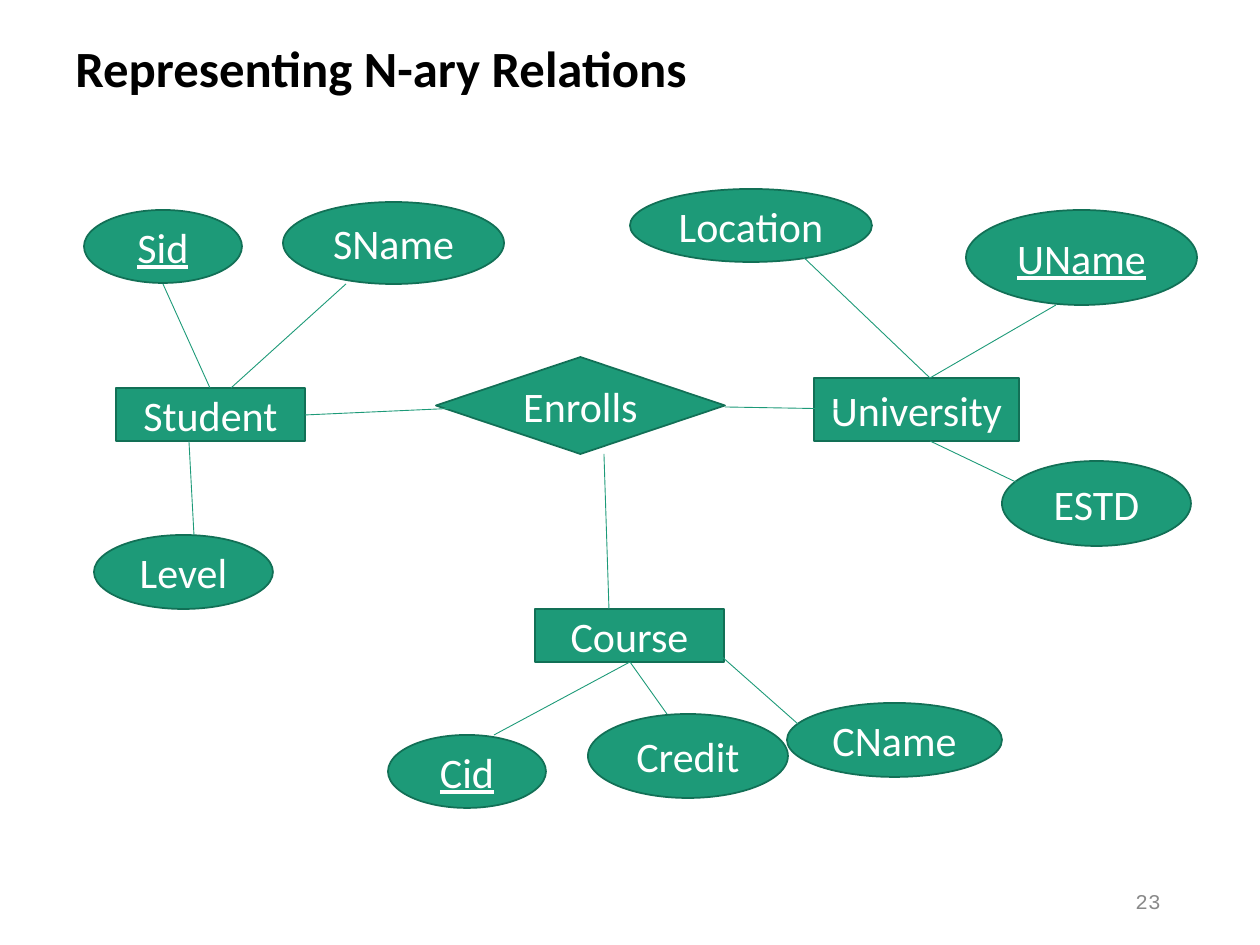
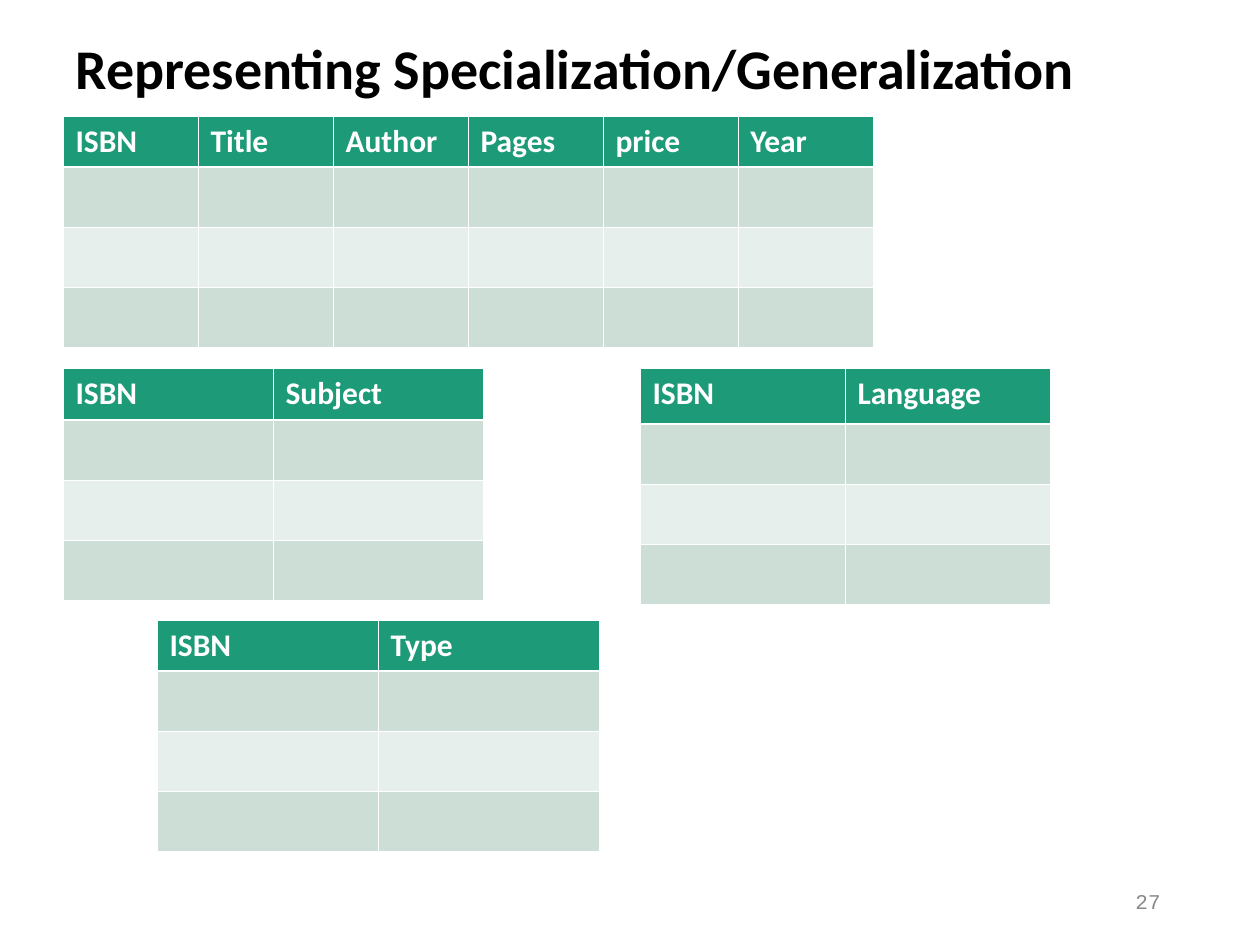
from dataclasses import dataclass

from lxml.etree import SubElement
from pptx import Presentation
from pptx.dml.color import RGBColor
from pptx.enum.shapes import MSO_CONNECTOR, MSO_SHAPE as Shape
from pptx.enum.text import MSO_ANCHOR as Anchor, PP_ALIGN as Align
from pptx.oxml.ns import qn
from pptx.util import Emu, Pt

# Content: boxes are (left, top, width, height) in px
ER_TITLE, ER_PAGE = ("Representing N-ary Relations", 29), "23"
SPEC_TITLE, SPEC_PAGE = ("Representing Specialization/Generalization", 32), "27"

ENTITIES = [
    ("Student", (116, 388, 189, 53)),
    ("Course", (535, 609, 189, 53)),
    ("University", (814, 378, 205, 63)),
]
RELATIONS = [("Enrolls", (436, 357, 289, 97))]
ATTRIBUTES = [
    ("Sid", (84, 210, 158, 73)),
    ("Level", (94, 535, 179, 74)),
    ("SName", (283, 202, 221, 82)),
    ("ESTD", (1002, 461, 189, 85)),
    ("UName", (966, 210, 231, 95)),
    ("Location", (630, 189, 242, 73)),
    ("Credit", (588, 714, 200, 84)),
    ("CName", (787, 703, 215, 74)),
    ("Cid", (388, 735, 158, 73)),
]
KEYS = {"Sid", "UName", "Cid"}

# Lines: (start x, start y, end x, end y)
RELATION_LINES = [
    (305, 415, 483, 407),
    (725, 407, 840, 409),
    (604, 454, 609, 609),
]
ATTRIBUTE_LINES = [
    (930, 378, 1056, 305), (930, 378, 798, 252), (930, 441, 1020, 484),
    (231, 388, 346, 284), (210, 388, 163, 284), (189, 441, 194, 535),
    (630, 662, 494, 735), (630, 662, 667, 714), (703, 640, 798, 724),
]

# Tables: (headings, left, top, column width, heading height)
TABLES = [
    (["ISBN", "Title", "Author", "Pages", "price", "Year"], 63, 116, 135, 51),
    (["ISBN", "Subject"], 63, 368, 210, 52),
    (["ISBN", "Language"], 640, 368, 205, 56),
    (["ISBN", "Type"], 157, 620, 221, 51),
]
EMPTY_ROWS, ROW_HEIGHT = 3, 60

# Shared frame
PX = 914400 // 126
SLIDE_SIZE = (1260, 945)
TITLE_BOX = (63, 38, 1134, 67)
PAGE_BOX = (890, 876, 283, 50)


@dataclass(frozen=True)
class Theme:
    font: str = "Calibri"
    page_font: str = "Courier New"
    green: str = "1D9A78"
    outline: str = "127056"
    white: str = "FFFFFF"
    black: str = "000000"
    grey: str = "898989"
    bands: tuple = ("CCDED6", "E7EFEC")
    node_size: int = 24
    head_size: int = 18
    page_size: int = 12
    thin: float = 0.45
    thick: float = 1.47


T = Theme()


def px(values):
    return [Emu(v * PX) for v in values]


def rgb(colour):
    return RGBColor.from_string(colour)


def add_run(p, text, size, colour, font=T.font, bold=False, underline=False):
    r = p.add_run()
    r.text = text
    f = r.font
    f.name, f.size, f.bold, f.underline = font, Pt(size), bold, underline
    f.color.rgb = rgb(colour)


def add_text(slide, box, align, *run, **style):
    tf = slide.shapes.add_textbox(*px(box)).text_frame
    tf.word_wrap = True
    tf.vertical_anchor = Anchor.MIDDLE
    p = tf.paragraphs[0]
    p.alignment = align
    add_run(p, *run, **style)
    return p


def add_slide(prs, title, page):
    slide = prs.slides.add_slide(prs.slide_layouts[6])
    p = add_text(slide, TITLE_BOX, Align.LEFT, *title, T.black, bold=True)
    p.line_spacing = 0.9
    add_text(slide, PAGE_BOX, Align.RIGHT, page, T.page_size, T.grey, font=T.page_font)
    return slide


# Diagram parts
def add_nodes(slide, kind, nodes):
    for name, box in nodes:
        s = slide.shapes.add_shape(kind, *px(box))
        s.shadow.inherit = False
        s.fill.solid()
        s.fill.fore_color.rgb = rgb(T.green)
        s.line.color.rgb = rgb(T.outline)
        s.line.width = Pt(1)
        tf = s.text_frame
        tf.word_wrap = True
        tf.vertical_anchor = Anchor.MIDDLE
        p = tf.paragraphs[0]
        p.alignment = Align.CENTER
        add_run(p, name, T.node_size, T.white, underline=name in KEYS)


def add_lines(slide, lines):
    for ends in lines:
        c = slide.shapes.add_connector(MSO_CONNECTOR.STRAIGHT, *px(ends))
        c.line.color.rgb = rgb(T.green)
        c.line.width = Pt(0.5)
        SubElement(c._element.spPr, qn("a:effectLst"))


# Table parts
def style_cell(cell, row):
    widths = {
        "L": T.thin,
        "R": T.thin,
        "T": T.thick if row == 1 else T.thin,
        "B": T.thick if row == 0 else T.thin,
    }
    tc_pr = cell._tc.get_or_add_tcPr()
    for side, width in widths.items():
        ln = SubElement(tc_pr, qn(f"a:ln{side}"), w=str(Pt(width)))
        SubElement(SubElement(ln, qn("a:solidFill")), qn("a:srgbClr"), val=T.white)
    cell.fill.solid()
    cell.fill.fore_color.rgb = rgb(T.bands[(row - 1) % 2] if row else T.green)


def add_grid(slide, headings, left, top, col_width, head_height):
    heights = [head_height] + [ROW_HEIGHT] * EMPTY_ROWS
    box = (left, top, col_width * len(headings), sum(heights))
    table = slide.shapes.add_table(len(heights), len(headings), *px(box)).table
    for col in table.columns:
        col.width = Emu(col_width * PX)
    for i, height in enumerate(heights):
        table.rows[i].height = Emu(height * PX)
        for j, heading in enumerate(headings):
            cell = table.cell(i, j)
            style_cell(cell, i)
            if i == 0:
                add_run(cell.text_frame.paragraphs[0], heading, T.head_size, T.white, bold=True)


def main():
    prs = Presentation()
    prs.slide_width, prs.slide_height = px(SLIDE_SIZE)

    # Entity-relationship diagram
    slide = add_slide(prs, ER_TITLE, ER_PAGE)
    add_nodes(slide, Shape.RECTANGLE, ENTITIES)
    add_nodes(slide, Shape.DIAMOND, RELATIONS)
    add_lines(slide, RELATION_LINES)
    add_nodes(slide, Shape.OVAL, ATTRIBUTES)
    add_lines(slide, ATTRIBUTE_LINES)

    # Specialization tables
    slide = add_slide(prs, SPEC_TITLE, SPEC_PAGE)
    for table in TABLES:
        add_grid(slide, *table)

    prs.save("out.pptx")


if __name__ == "__main__":
    main()
